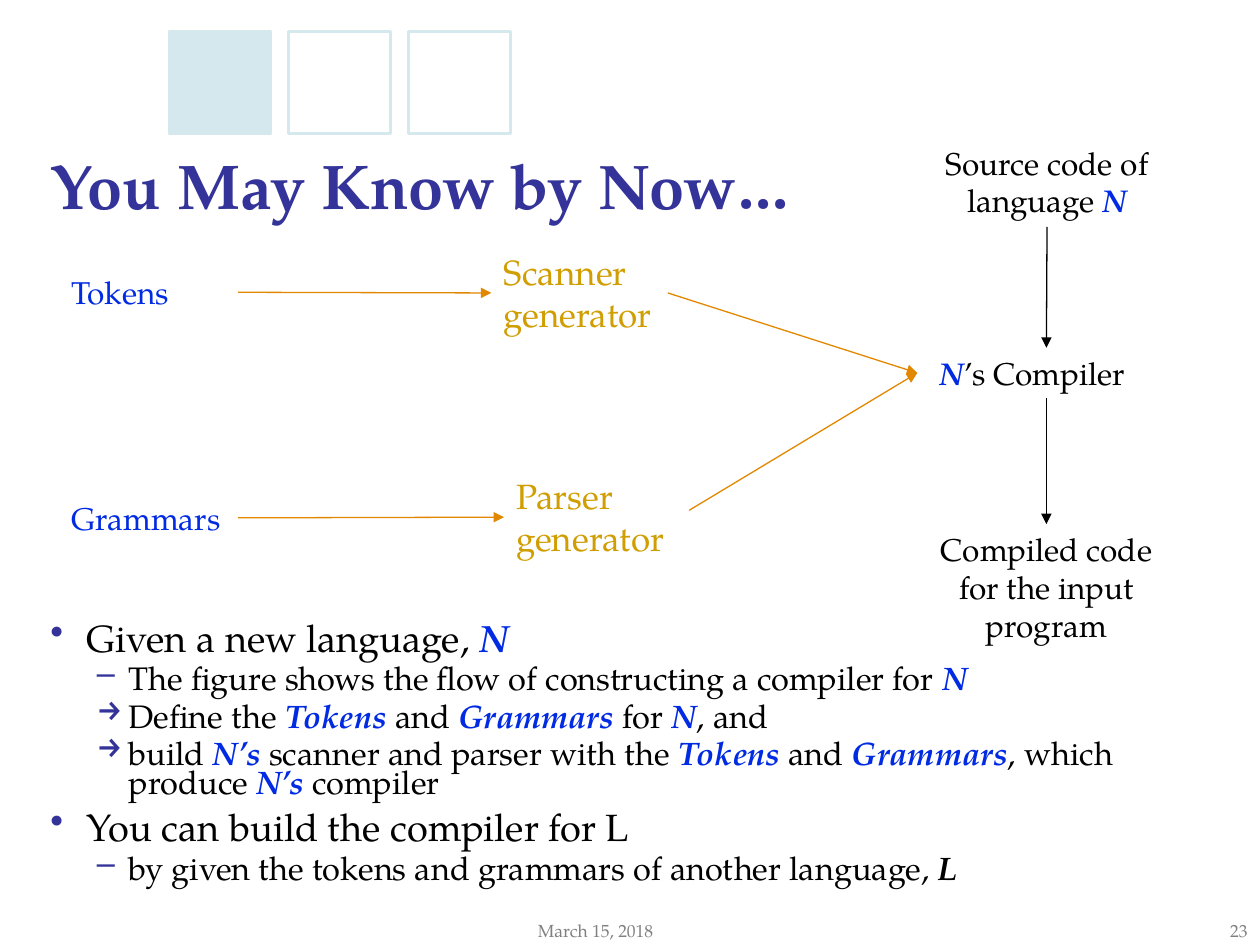
from dataclasses import dataclass
from typing import NamedTuple

from lxml import etree
from pptx import Presentation
from pptx.dml.color import RGBColor
from pptx.enum.shapes import MSO_CONNECTOR, MSO_SHAPE
from pptx.enum.text import MSO_ANCHOR, PP_ALIGN
from pptx.oxml.ns import qn
from pptx.util import Inches, Pt

LEFT, CENTER, RIGHT = PP_ALIGN.LEFT, PP_ALIGN.CENTER, PP_ALIGN.RIGHT
MIDDLE = MSO_ANCHOR.MIDDLE
STRAIGHT = MSO_CONNECTOR.STRAIGHT
RECT = MSO_SHAPE.RECTANGLE
TOP_SIDE, LEFT_SIDE, BOTTOM_SIDE, RIGHT_SIDE = range(4)

FONT = "TeX Gyre Pagella"
BLACK, BLUE, NAVY = "000000", "002BE2", "333399"
GOLD, ORANGE, GREY, PALE = "D09E00", "E28700", "808080", "D5E8EE"


class Run(NamedTuple):
    text: str
    color: str = BLACK
    bold: bool = False
    italic: bool = False


class Level(NamedTuple):
    size: float
    margin: float
    hanging: float
    before: float


@dataclass
class Label:
    name: str
    at: tuple[float, float, float, float]
    lines: list[list[Run]]
    size: float = 18
    align: PP_ALIGN = LEFT


@dataclass
class Bullet:
    level: int
    char: str
    runs: list[Run]


@dataclass
class Arrow:
    start: tuple[float, float]
    end: tuple[float, float]
    color: str
    source: tuple[str, int] | None = None
    target: tuple[str, int] | None = None


def rgb(value: str) -> RGBColor:
    return RGBColor.from_string(value)


def term(text: str) -> Run:
    return Run(text, BLUE, True, True)


def add_runs(p, runs: list[Run], size: float) -> None:
    for run in runs:
        r = p.add_run()
        r.text = run.text
        r.font.name = FONT
        r.font.size = Pt(size)
        r.font.bold = run.bold
        r.font.italic = run.italic
        r.font.color.rgb = rgb(run.color)


def add_box(s, at: tuple[float, float, float, float], inset: bool = True):
    sp = s.shapes.add_textbox(*map(Inches, at))
    tf = sp.text_frame
    tf.word_wrap = True
    if not inset:
        tf.margin_left = tf.margin_right = tf.margin_top = tf.margin_bottom = 0
    return sp


def add_label(s, label: Label):
    sp = add_box(s, label.at)
    tf = sp.text_frame
    for i, runs in enumerate(label.lines):
        p = tf.add_paragraph() if i else tf.paragraphs[0]
        p.alignment = label.align
        add_runs(p, runs, label.size)
    return sp


def add_bullet(p, bullet: Bullet) -> None:
    level = LEVELS[bullet.level]
    p.level = bullet.level
    p.line_spacing = 0.75
    p.space_before = Pt(level.before)
    pPr = p._p.get_or_add_pPr()
    pPr.set("marL", str(Inches(level.margin)))
    pPr.set("indent", str(-Inches(level.hanging)))
    color = etree.SubElement(pPr, qn("a:buClr"))
    etree.SubElement(color, qn("a:srgbClr"), val=NAVY)
    etree.SubElement(pPr, qn("a:buChar"), char=bullet.char)
    add_runs(p, bullet.runs, level.size)


def add_arrow(s, arrow: Arrow, boxes: dict) -> None:
    sp = s.shapes.add_connector(STRAIGHT, *map(Inches, arrow.start + arrow.end))
    if arrow.source:
        sp.begin_connect(boxes[arrow.source[0]], arrow.source[1])
    if arrow.target:
        sp.end_connect(boxes[arrow.target[0]], arrow.target[1])
    sp.line.color.rgb = rgb(arrow.color)
    sp.line.width = Pt(0.75)
    etree.SubElement(sp.line._get_or_add_ln(), qn("a:tailEnd"), type="triangle")
    etree.SubElement(sp._element.spPr, qn("a:effectLst"))


def add_square(s, left: float, filled: bool) -> None:
    sp = s.shapes.add_shape(RECT, *map(Inches, (left, 0.25, 0.81, 0.81)))
    sp.shadow.inherit = False
    sp.line.color.rgb = rgb(PALE)
    sp.line.width = Pt(1.5)
    if filled:
        sp.fill.solid()
        sp.fill.fore_color.rgb = rgb(PALE)
    else:
        sp.fill.background()


LEVELS = [Level(21.7, 0.29, 0.29, 8), Level(18.6, 0.62, 0.25, 4.65)]

BULLETS = [
    Bullet(0, "•", [Run("Given a new language, "), term("N")]),
    Bullet(1, "–", [Run("The figure shows the flow of constructing a compiler for "), term("N")]),
    Bullet(1, "→", [Run("Define the "), term("Tokens"), Run(" and "), term("Grammars"),
                    Run(" for "), term("N"), Run(", and")]),
    Bullet(1, "→", [Run("build "), term("N’s "), Run("scanner and parser with the "),
                    term("Tokens"), Run(" and "), term("Grammars"),
                    Run(", which produce "), term("N’s "), Run("compiler")]),
    Bullet(0, "•", [Run("You can build the compiler for L")]),
    Bullet(1, "–", [Run("by given the tokens and grammars of another language, "),
                    Run("L", BLACK, True, True)]),
]

LABELS = [
    Label("date", (4.17, 7.25, 1.65, 0.25), [[Run("March 15, 2018", GREY)]], 10),
    Label("number", (9.49, 7.25, 0.51, 0.25), [[Run("23", GREY)]], 10, RIGHT),
    Label("tokens", (0.47, 2.12, 1.42, 0.4), [[Run("Tokens", BLUE)]]),
    Label("grammars", (0.47, 3.91, 1.42, 0.4), [[Run("Grammars", BLUE)]]),
    Label("scanner", (3.9, 1.94, 1.4, 0.77), [[Run("Scanner", GOLD)], [Run("generator", GOLD)]], 20),
    Label("parser", (4, 3.72, 1.4, 0.77), [[Run("Parser", GOLD)], [Run("generator", GOLD)]], 20),
    Label("compiler", (7.36, 2.76, 1.89, 0.4), [[term("N"), Run("’s Compiler")]]),
    Label("source", (7.05, 1.09, 2.52, 0.71),
          [[Run("Source code of language "), term("N")]], align=CENTER),
    Label("compiled", (7.36, 4.16, 1.89, 1.01),
          [[Run("Compiled code for the input program")]], align=CENTER),
]

ARROWS = [
    Arrow((1.89, 2.32), (3.9, 2.32), ORANGE, ("tokens", RIGHT_SIDE), ("scanner", LEFT_SIDE)),
    Arrow((1.89, 4.11), (4, 4.11), ORANGE, ("grammars", RIGHT_SIDE), ("parser", LEFT_SIDE)),
    Arrow((5.3, 2.32), (7.28, 2.96), ORANGE, ("scanner", RIGHT_SIDE)),
    Arrow((5.47, 4.05), (7.28, 2.96), ORANGE),
    Arrow((8.31, 1.8), (8.31, 2.76), BLACK, ("source", BOTTOM_SIDE), ("compiler", TOP_SIDE)),
    Arrow((8.31, 3.16), (8.31, 4.16), BLACK, ("compiler", BOTTOM_SIDE), ("compiled", TOP_SIDE)),
]


def main() -> None:
    prs = Presentation()
    prs.slide_width, prs.slide_height = Inches(10), Inches(7.5)
    s = prs.slides.add_slide(prs.slide_layouts[6])

    for i in range(3):
        add_square(s, 1.34 + 0.95 * i, filled=i == 0)

    tf = add_box(s, (0.4, 1.07, 9.07, 0.86), inset=False).text_frame
    tf.vertical_anchor = MIDDLE
    tf.paragraphs[0].line_spacing = 0.9
    add_runs(tf.paragraphs[0], [Run("You May Know by Now…", NAVY, True)], 36)

    tf = add_box(s, (0.4, 4.96, 9.07, 2.29), inset=False).text_frame
    for i, bullet in enumerate(BULLETS):
        add_bullet(tf.add_paragraph() if i else tf.paragraphs[0], bullet)

    boxes = {label.name: add_label(s, label) for label in LABELS}
    for arrow in ARROWS:
        add_arrow(s, arrow, boxes)

    prs.save("out.pptx")


if __name__ == "__main__":
    main()
